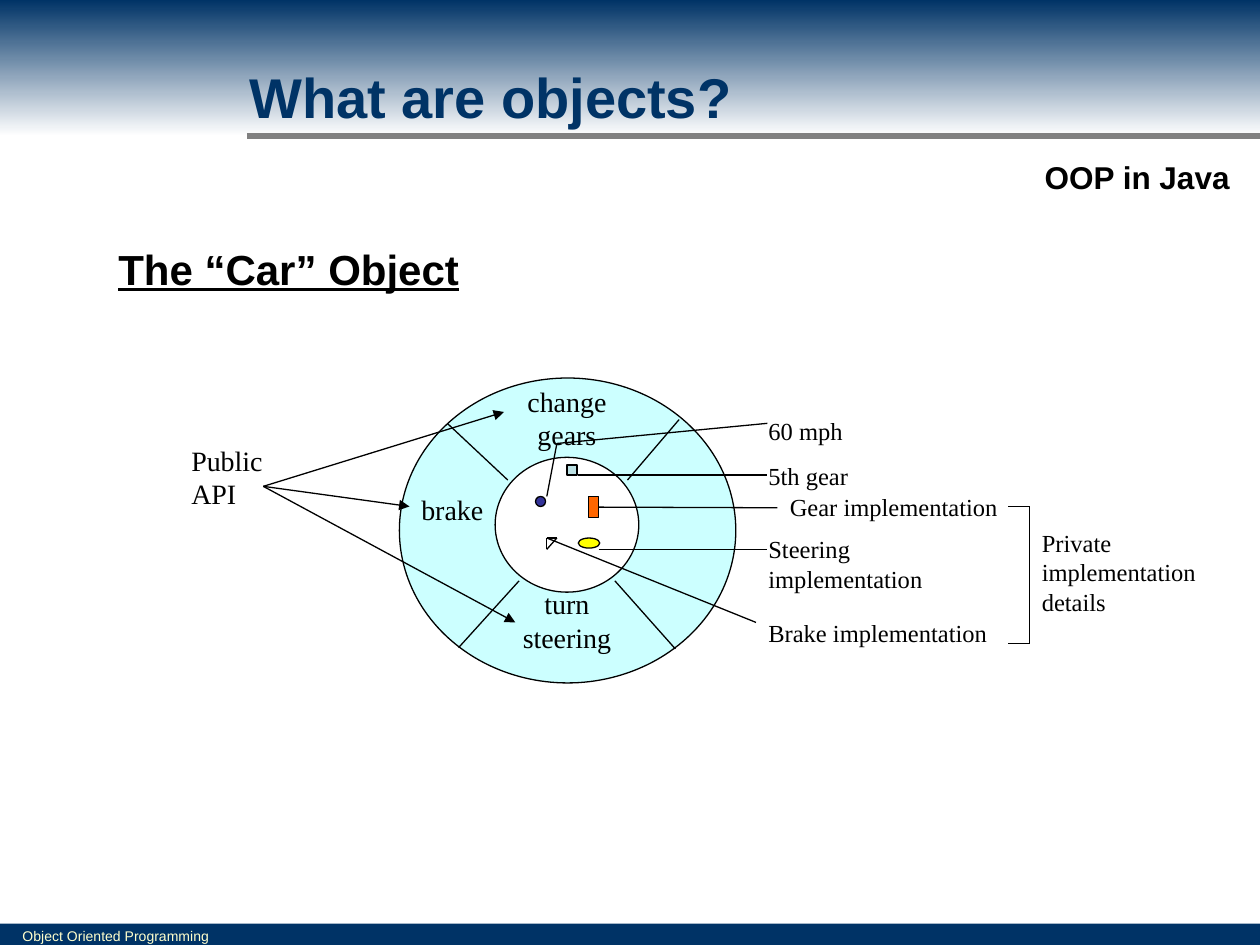
import pptx
import pptx.util
import pptx.dml.color
import pptx.enum.shapes
import pptx.enum.text
import pptx.oxml
import pptx.oxml.ns

Inches = pptx.util.Inches
Pt = pptx.util.Pt
RGBColor = pptx.dml.color.RGBColor
Shape = pptx.enum.shapes.MSO_SHAPE
Align = pptx.enum.text.PP_ALIGN
Anchor = pptx.enum.text.MSO_ANCHOR
Fit = pptx.enum.text.MSO_AUTO_SIZE

NAVY = RGBColor(0x00, 0x33, 0x66)
CREAM = RGBColor(0xFF, 0xFF, 0xCC)
WHITE = RGBColor(0xFF, 0xFF, 0xFF)
BLACK = RGBColor(0x00, 0x00, 0x00)
GRAY = RGBColor(0x80, 0x80, 0x80)
AQUA = RGBColor(0xCC, 0xFF, 0xFF)
TEAL = RGBColor(0xBB, 0xE0, 0xE3)
INDIGO = RGBColor(0x33, 0x33, 0x99)
ORANGE = RGBColor(0xFF, 0x66, 0x00)
YELLOW = RGBColor(0xFF, 0xFF, 0x00)

HEAD = {"name": "Arial", "bold": True}
ACTION = {"name": "Times New Roman", "size": Pt(16)}
DETAIL = {"name": "Times New Roman", "size": Pt(14)}
CENTER = {"alignment": Align.CENTER, "space_before": Pt(10)}
LEFT = {"space_before": Pt(10)}
NOTE = {"space_before": Pt(8.8)}


def assign(target, values):
    for name, value in values.items():
        setattr(target, name, value)


def add_text(slide, text, area, font, color=BLACK, para=None, frame=None):
    box = slide.shapes.add_textbox(*map(Inches, area))
    body = box.text_frame
    assign(body, {"word_wrap": True, "auto_size": Fit.SHAPE_TO_FIT_TEXT, **(frame or {})})
    line = body.paragraphs[0]
    assign(line, para or {})
    run = line.add_run()
    run.text = text
    assign(run.font, font)
    run.font.color.rgb = color
    return box


def add_form(slide, kind, area, fill, edge=True):
    form = slide.shapes.add_shape(kind, *map(Inches, area))
    form.shadow.inherit = False
    form.fill.solid()
    form.fill.fore_color.rgb = fill
    if edge:
        form.line.color.rgb = BLACK
        form.line.width = Pt(0.75)
    else:
        form.line.fill.background()
    return form


def add_line(parent, start, end, color=BLACK, width=0.75, arrow=False):
    kind = pptx.enum.shapes.MSO_CONNECTOR.STRAIGHT
    line = parent.shapes.add_connector(kind, *map(Inches, (*start, *end)))
    line.line.color.rgb = color
    line.line.width = Pt(width)
    props = line._element.spPr
    if arrow:
        tail = pptx.oxml.parse_xml(
            '<a:tailEnd %s type="triangle"/>' % pptx.oxml.ns.nsdecls("a"))
        line.line._get_or_add_ln().append(tail)
    props.append(pptx.oxml.parse_xml(
        "<a:effectLst %s/>" % pptx.oxml.ns.nsdecls("a")))
    return line


def add_path(parent, points):
    for start, end in zip(points, points[1:]):
        add_line(parent, start, end)


def add_frame(slide):
    add_form(slide, Shape.RECTANGLE, (0, 7.33, 10, 0.17), NAVY, edge=False)
    add_text(slide, "Object Oriented Programming", (0.08, 7.31, 2.12, 0.24),
             {"name": "Arial", "size": Pt(8)}, CREAM)
    band = add_form(slide, Shape.RECTANGLE, (0, 0, 10, 1.08), NAVY, edge=False)
    band.fill.gradient()
    band.fill.gradient_angle = 270
    for stop, color in zip(band.fill.gradient_stops, (NAVY, WHITE)):
        stop.color.rgb = color
    add_line(slide, (1.96, 1.08), (10, 1.08), GRAY, 3)
    add_text(slide, "OOP in Java", (8.18, 1.21, 1.69, 0.38),
             {**HEAD, "size": Pt(18)}, para={"alignment": Align.CENTER},
             frame={"vertical_anchor": Anchor.MIDDLE, "auto_size": Fit.NONE})
    add_text(slide, "What are objects?", (1.88, 0.45, 4.03, 0.64),
             {**HEAD, "size": Pt(32)}, NAVY, frame={"word_wrap": False})
    add_text(slide, "The “Car” Object", (0.84, 1.88, 3.58, 0.5),
             {**HEAD, "size": Pt(24), "underline": True})


def add_wheel(slide):
    add_form(slide, Shape.OVAL, (3.17, 3, 2.67, 2.42), AQUA)
    add_form(slide, Shape.OVAL, (3.93, 3.63, 1.14, 1.07), WHITE)
    for start, end in (((4.03, 3.81), (3.55, 3.36)), ((4.98, 3.81), (5.39, 3.33)),
                       ((4.88, 4.61), (5.36, 5.15)), ((4.12, 4.61), (3.64, 5.14))):
        add_line(slide, start, end)
    for text, area in (("change gears", (4, 3, 1, 0.64)),
                       ("turn steering", (4, 4.61, 1, 0.64)),
                       ("brake", (3.09, 3.86, 1, 0.37))):
        add_text(slide, text, area, ACTION, para=CENTER)
    for tip in ((4, 3.27), (3.25, 4.02), (4.09, 4.94)):
        add_line(slide, (2.09, 3.86), tip, arrow=True)
    add_text(slide, "Public API", (1.42, 3.47, 0.83, 0.64), ACTION, para=LEFT)


def add_parts(slide):
    add_form(slide, Shape.RECTANGLE, (4.5, 3.69, 0.08, 0.08), TEAL)
    add_form(slide, Shape.OVAL, (4.25, 3.94, 0.08, 0.08), INDIGO)
    add_form(slide, Shape.OVAL, (4.59, 4.27, 0.17, 0.08), YELLOW)
    pedal = slide.shapes.add_group_shape()
    add_path(pedal, ((4.34, 4.27), (4.42, 4.27), (4.34, 4.36), (4.34, 4.27)))
    return add_form(slide, Shape.RECTANGLE, (4.67, 3.94, 0.08, 0.17), ORANGE)


def add_notes(slide, gear):
    label = add_text(slide, "Gear implementation", (6.17, 3.86, 2, 0.34),
                     DETAIL, para=NOTE)
    link = add_line(slide, (4.75, 4.02), (6.17, 4.02))
    link.begin_connect(gear, 3)
    link.end_connect(label, 1)
    for points in (((4.75, 4.36), (6.09, 4.36)), ((4.59, 3.77), (6.09, 3.77)),
                   ((4.34, 3.94), (4.42, 3.52), (6.09, 3.36)),
                   ((4.34, 4.27), (6, 4.94))):
        add_path(slide, points)
    for text, top, tall in (("60 mph", 3.25, 0.34), ("5th gear", 3.61, 0.34),
                            ("Steering implementation", 4.19, 0.57),
                            ("Brake implementation", 4.86, 0.34)):
        add_text(slide, text, (6, top, 2, tall), DETAIL, para=NOTE)
    brace = slide.shapes.add_group_shape()
    add_path(brace, ((8, 4.02), (8.17, 4.02), (8.17, 5.11), (8, 5.11)))
    add_text(slide, "Private implementation details", (8.17, 4.14, 1.5, 0.8),
             DETAIL, para=NOTE)


def main():
    deck = pptx.Presentation()
    assign(deck, {"slide_width": Inches(10), "slide_height": Inches(7.5)})
    slide = deck.slides.add_slide(deck.slide_layouts[6])
    add_frame(slide)
    add_wheel(slide)
    gear = add_parts(slide)
    add_notes(slide, gear)
    deck.save("out.pptx")


if __name__ == "__main__":
    main()
